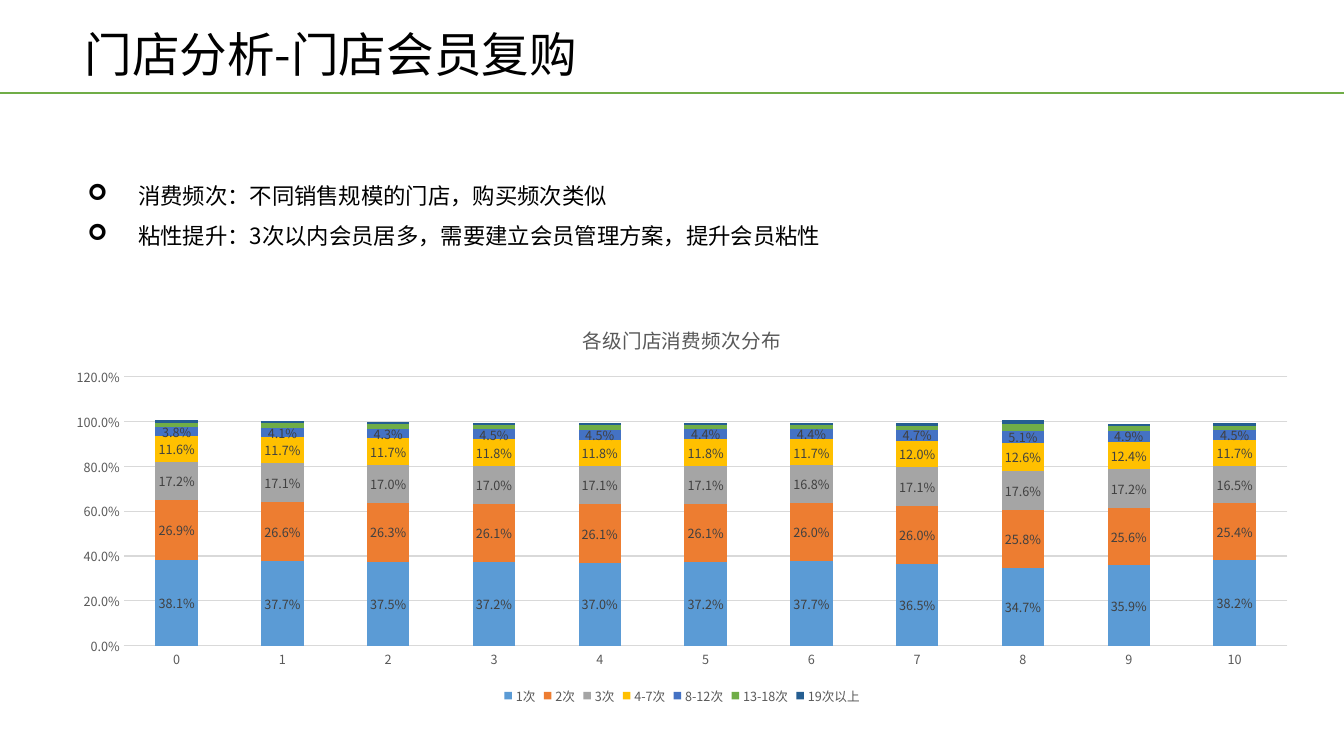
from pptx import Presentation
from pptx.chart.data import CategoryChartData
from pptx.dml.color import RGBColor
from pptx.enum.chart import XL_CHART_TYPE, XL_LABEL_POSITION, XL_LEGEND_POSITION, XL_TICK_MARK
from pptx.enum.shapes import MSO_CONNECTOR
from pptx.enum.text import MSO_ANCHOR, PP_ALIGN
from pptx.oxml.ns import qn
from pptx.util import Inches, Pt
from lxml.etree import SubElement

WIDTH, HEIGHT = 13.33, 7.5
FONT = "Noto Sans CJK SC"
COLORS = {"text": "000000", "rule": "70AD47", "muted": "595959", "label": "404040", "grid": "D9D9D9"}

BULLETS = [
    "消费频次：不同销售规模的门店，购买频次类似",
    "粘性提升：3次以内会员居多，需要建立会员管理方案，提升会员粘性",
]
STORE_LEVELS = [str(level) for level in range(11)]
FREQUENCIES = [
    ("1次", "5B9BD5", [0.381, 0.377, 0.375, 0.372, 0.370, 0.372, 0.377, 0.365, 0.347, 0.359, 0.382]),
    ("2次", "ED7D31", [0.269, 0.266, 0.263, 0.261, 0.261, 0.261, 0.260, 0.260, 0.258, 0.256, 0.254]),
    ("3次", "A5A5A5", [0.172, 0.171, 0.170, 0.170, 0.171, 0.171, 0.168, 0.171, 0.176, 0.172, 0.165]),
    ("4-7次", "FFC000", [0.116, 0.117, 0.117, 0.118, 0.118, 0.118, 0.117, 0.120, 0.126, 0.124, 0.117]),
    ("8-12次", "4472C4", [0.038, 0.041, 0.043, 0.045, 0.045, 0.044, 0.044, 0.047, 0.051, 0.049, 0.045]),
    ("13-18次", "70AD47", [0.02] * 8 + [0.03] + [0.02] * 2),
    ("19次以上", "255E91", [0.01] * 8 + [0.02] + [0.01] * 2),
]
LABELLED_SERIES = 5


class SlideBuilder:
    """Draw styled elements on one slide, placed by shares of its size."""

    def __init__(self, deck):
        self.deck = deck
        self.slide = deck.slides.add_slide(deck.slide_layouts[5])

    def across(self, share):
        return int(self.deck.slide_width * share)

    def down(self, share):
        return int(self.deck.slide_height * share)

    def area(self, left, top, width, height):
        return self.across(left), self.down(top), self.across(width), self.down(height)

    def style_font(self, font, size, color):
        font.size = Pt(size)
        font.name = FONT
        font.bold = False
        font.color.rgb = RGBColor.from_string(COLORS[color])

    def style_span(self, span, size):
        self.style_font(span.font, size, "text")
        SubElement(span.font._element, qn("a:ea"), typeface=FONT)

    def rule(self, top):
        line = self.slide.shapes.add_connector(
            MSO_CONNECTOR.STRAIGHT, 0, self.down(top), self.deck.slide_width, self.down(top))
        line.line.color.rgb = RGBColor.from_string(COLORS["rule"])
        line.line.width = Pt(1.5)
        SubElement(line._element.spPr, qn("a:effectLst"))

    def title(self, text, *shares):
        box = self.slide.shapes.title
        box.left, box.top, box.width, box.height = self.area(*shares)
        frame = box.text_frame
        frame.text = text
        frame.vertical_anchor = MSO_ANCHOR.MIDDLE
        para = frame.paragraphs[0]
        para.alignment = PP_ALIGN.LEFT
        para.line_spacing = 0.9
        self.style_span(para.runs[0], 34)

    def bullets(self, lines, *shares):
        frame = self.slide.shapes.add_textbox(*self.area(*shares)).text_frame
        frame.word_wrap = True
        frame.margin_left = frame.margin_right = Inches(0.13)
        frame.margin_top = frame.margin_bottom = Inches(0.07)
        frame.text = "\n".join(lines)
        for para in frame.paragraphs:
            para.line_spacing = 1.5
            properties = para._p.get_or_add_pPr()
            properties.set("marL", str(Inches(0.5)))
            properties.set("indent", str(-Inches(0.5)))
            SubElement(properties, qn("a:buFont"), typeface="Wingdings")
            SubElement(properties, qn("a:buChar"), char="➢")
            self.style_span(para.runs[0], 16)

    def stacked_chart(self, title, categories, series, *shares):
        data = CategoryChartData(number_format="0.0%")
        data.categories = categories
        for name, _, values in series:
            data.add_series(name, values)
        chart = self.slide.shapes.add_chart(
            XL_CHART_TYPE.COLUMN_STACKED, *self.area(*shares), data).chart
        self.style_font(chart.font, 10, "text")
        chart.has_title = True
        heading = chart.chart_title.text_frame
        heading.text = title
        self.style_font(heading.paragraphs[0].runs[0].font, 14, "muted")
        chart.has_legend = True
        chart.legend.position = XL_LEGEND_POSITION.BOTTOM
        chart.legend.include_in_layout = False
        self.style_font(chart.legend.font, 9, "muted")
        self.style_axes(chart)
        plot = chart.plots[0]
        plot.gap_width, plot.overlap = 150, 100
        plot.vary_by_categories = False
        for index, (bars, (_, color, _)) in enumerate(zip(plot.series, series)):
            bars.format.fill.solid()
            bars.format.fill.fore_color.rgb = RGBColor.from_string(color)
            if index < LABELLED_SERIES:
                labels = bars.data_labels
                labels.show_value = True
                labels.position = XL_LABEL_POSITION.CENTER
                self.style_font(labels.font, 9, "label")

    def style_axes(self, chart):
        for axis in (chart.category_axis, chart.value_axis):
            axis.major_tick_mark = axis.minor_tick_mark = XL_TICK_MARK.NONE
            self.style_font(axis.tick_labels.font, 9, "muted")
        values = chart.value_axis
        values.minimum_scale, values.maximum_scale, values.major_unit = 0, 1.2, 0.2
        values.tick_labels.number_format = "0.0%"
        values.tick_labels.number_format_is_linked = False
        values.format.line.fill.background()
        for line in (chart.category_axis.format.line, values.major_gridlines.format.line):
            line.color.rgb = RGBColor.from_string(COLORS["grid"])
            line.width = Pt(0.75)


def main():
    deck = Presentation()
    deck.slide_width, deck.slide_height = Inches(WIDTH), Inches(HEIGHT)
    page = SlideBuilder(deck)
    page.rule(0.92 / HEIGHT)
    page.title("门店分析-门店会员复购", 0.74 / WIDTH, 0.26 / HEIGHT, 7.98 / WIDTH, 0.62 / HEIGHT)
    page.stacked_chart("各级门店消费频次分布", STORE_LEVELS, FREQUENCIES,
                       0.51 / WIDTH, 3.04 / HEIGHT, 12.51 / WIDTH, 3.99 / HEIGHT)
    page.bullets(BULLETS, 0.74 / WIDTH, 1.6 / HEIGHT, 8.97 / WIDTH, 0.94 / HEIGHT)
    deck.save("out.pptx")


if __name__ == "__main__":
    main()
